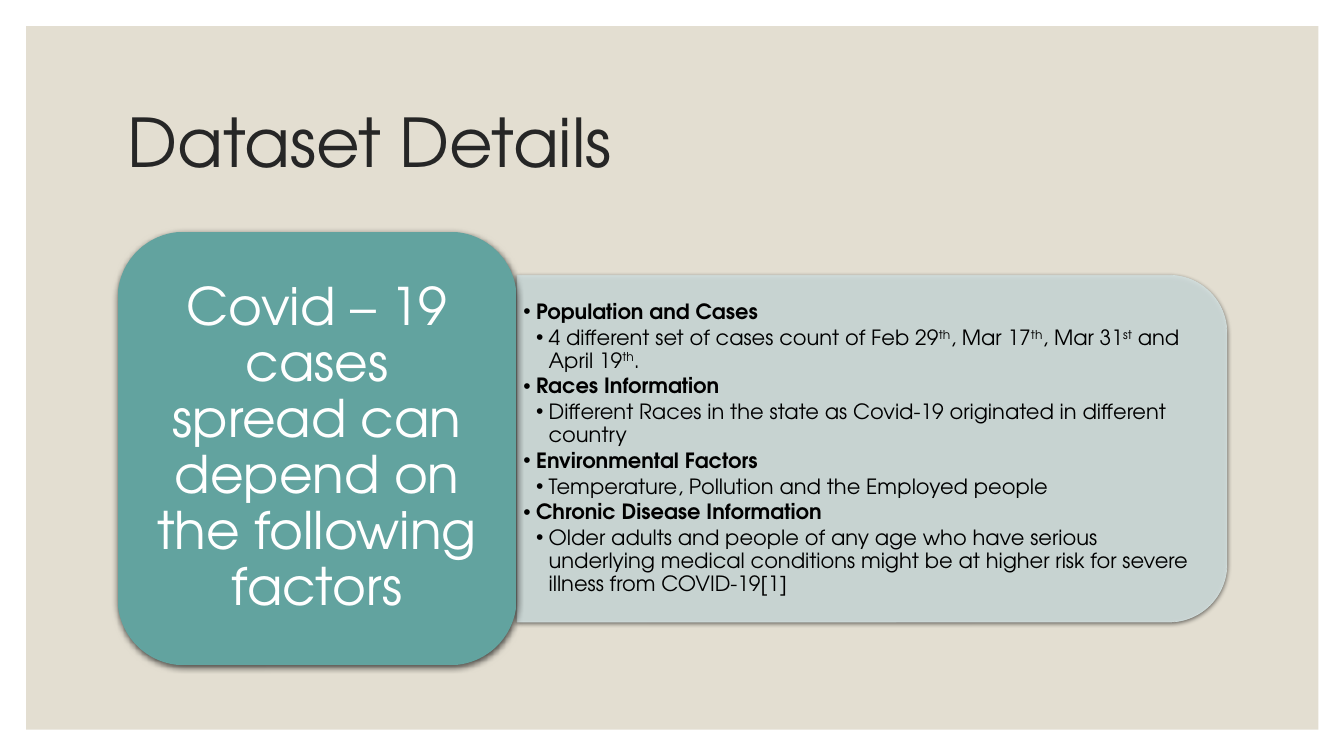
from dataclasses import dataclass
from lxml.etree import SubElement as Sub
from pptx import Presentation
from pptx.dml.color import RGBColor as RGB
from pptx.enum.shapes import MSO_SHAPE as Kind
from pptx.enum.text import MSO_ANCHOR as Anchor, MSO_AUTO_SIZE as Fit, PP_ALIGN as Align
from pptx.oxml.ns import qn
from pptx.util import Pt


@dataclass(frozen=True)
class Theme:
    font: str = "TeX Gyre Adventor"
    back: str = "E3DED1"
    ink: str = "262626"
    text: str = "000000"
    panel: str = "D3E0DF"
    tile: tuple = ("62A39F", "60A39F")
    light: str = "FFFFFF"
    head: float = 48
    lead: float = 37
    body: float = 15


class Deck:
    def __init__(self, theme):
        self.theme = theme
        self.prs = Presentation()
        self.prs.slide_width, self.prs.slide_height = Pt(960), Pt(540)
        self.slide = self.prs.slides.add_slide(self.prs.slide_layouts[1])

    def place(self, shape, box):
        """Move a placeholder to box and bring it to the front."""
        shape.left, shape.top, shape.width, shape.height = map(Pt, box)
        node = shape._element
        node.getparent().append(node)

    def frame(self, shape, pad):
        """Centre the text vertically, with pad as (side, top) insets."""
        frame = shape.text_frame
        frame.word_wrap, frame.auto_size = True, Fit.NONE
        frame.vertical_anchor = Anchor.MIDDLE
        frame.margin_left = frame.margin_right = Pt(pad[0])
        frame.margin_top = frame.margin_bottom = Pt(pad[1])
        return frame

    def para(self, para, align=Align.LEFT, after=0):
        para.alignment, para.line_spacing = align, 0.9
        para.space_before, para.space_after = Pt(0), Pt(after)

    def run(self, para, text, size, color, bold=False, raised=False):
        run = para.add_run()
        run.text = text
        font = run.font
        font.name, font.size, font.bold = self.theme.font, Pt(size), bold
        font.color.rgb = RGB.from_string(color)
        if raised:
            run._r.get_or_add_rPr().set("baseline", "30000")

    def shape(self, kind, box, turn=0):
        shape = self.slide.shapes.add_shape(kind, *map(Pt, box))
        shape.rotation = turn
        shape.shadow.inherit = False
        shape.line.fill.background()
        return shape

    def solid(self, fill, color, alpha=100):
        fill.solid()
        fill.fore_color.rgb = RGB.from_string(color)
        if alpha < 100:
            node = fill._xPr.find(f"{qn('a:solidFill')}/{qn('a:srgbClr')}")
            Sub(node, qn("a:alpha"), val=str(alpha * 1000))

    def shade(self, shape, blur, dist):
        """Cast a soft shadow downwards."""
        effects = shape._element.spPr.find(qn("a:effectLst"))
        outer = Sub(effects, qn("a:outerShdw"), blurRad=str(Pt(blur)),
                    dist=str(Pt(dist)), dir="5400000", algn="ctr", rotWithShape="0")
        color = Sub(outer, qn("a:srgbClr"), val="000000")
        Sub(color, qn("a:alpha"), val="63000")

    def back(self, box):
        self.solid(self.shape(Kind.RECTANGLE, box).fill, self.theme.back)

    def title(self, text, box):
        shape = self.slide.shapes.title
        self.place(shape, box)
        para = self.frame(shape, (7.2, 3.6)).paragraphs[0]
        self.para(para)
        self.run(para, text, self.theme.head, self.theme.ink)

    def panel(self, box):
        shape = self.shape(Kind.ROUND_2_SAME_RECTANGLE, box, 90)
        self.solid(shape.fill, self.theme.panel, 90)
        self.solid(shape.line.fill, self.theme.panel, 90)
        shape.line.width = Pt(0.5)
        self.shade(shape, 3, 1)

    def tile(self, text, box):
        shape = self.shape(Kind.ROUNDED_RECTANGLE, box)
        shape.fill.gradient()
        shape.fill.gradient_angle = 270
        for stop, color in zip(shape.fill.gradient_stops, self.theme.tile):
            stop.color.rgb = RGB.from_string(color)
        self.shade(shape, 4.5, 1.5)
        para = self.frame(shape, (11, 5.5)).paragraphs[0]
        self.para(para, Align.CENTER)
        self.run(para, text, self.theme.lead, self.theme.light)

    def bullet(self, para, level):
        para.level = level
        props = para._p.get_or_add_pPr()
        props.set("marL", str(Pt(9 * (level + 1))))
        props.set("indent", str(Pt(-9)))
        Sub(props, qn("a:buChar"), char="•")
        self.para(para, after=2.25)

    def list(self, topics, box):
        """Set each topic as a bold bullet over its detail; odd pieces are raised."""
        shape = self.slide.placeholders[1]
        self.place(shape, box)
        frame = self.frame(shape, (4.5, 2.25))
        rows = [row for head, parts in topics for row in ((0, [head]), (1, parts))]
        for i, (level, parts) in enumerate(rows):
            para = frame.add_paragraph() if i else frame.paragraphs[0]
            self.bullet(para, level)
            for j, text in enumerate(parts):
                self.run(para, text, self.theme.body, self.theme.text,
                         bold=level == 0, raised=j % 2 == 1)


TOPICS = [
    ("Population and Cases",
     ["4 different set of cases count of Feb 29", "th", ", Mar 17", "th",
      ", Mar 31", "st", " and April 19", "th", "."]),
    ("Races Information",
     ["Different Races in the state as Covid-19 originated in different country"]),
    ("Environmental Factors",
     ["Temperature, Pollution and the Employed people"]),
    ("Chronic Disease Information",
     ["Older adults and people of any age who have serious underlying medical "
      "conditions might be at higher risk for severe illness from COVID-19[1]"]),
]


def main():
    deck = Deck(Theme())
    deck.back((18.72, 18.72, 923, 502.5))
    deck.title("Dataset Details", (84, 50.4, 792, 108))
    deck.panel((499, 67, 247.7, 507))
    deck.list(TOPICS, (369.4, 208.8, 494.6, 223.2))
    deck.tile("Covid – 19 cases spread can depend on the following factors",
              (84, 165.6, 285.1, 309.6))
    deck.prs.save("out.pptx")


if __name__ == "__main__":
    main()
